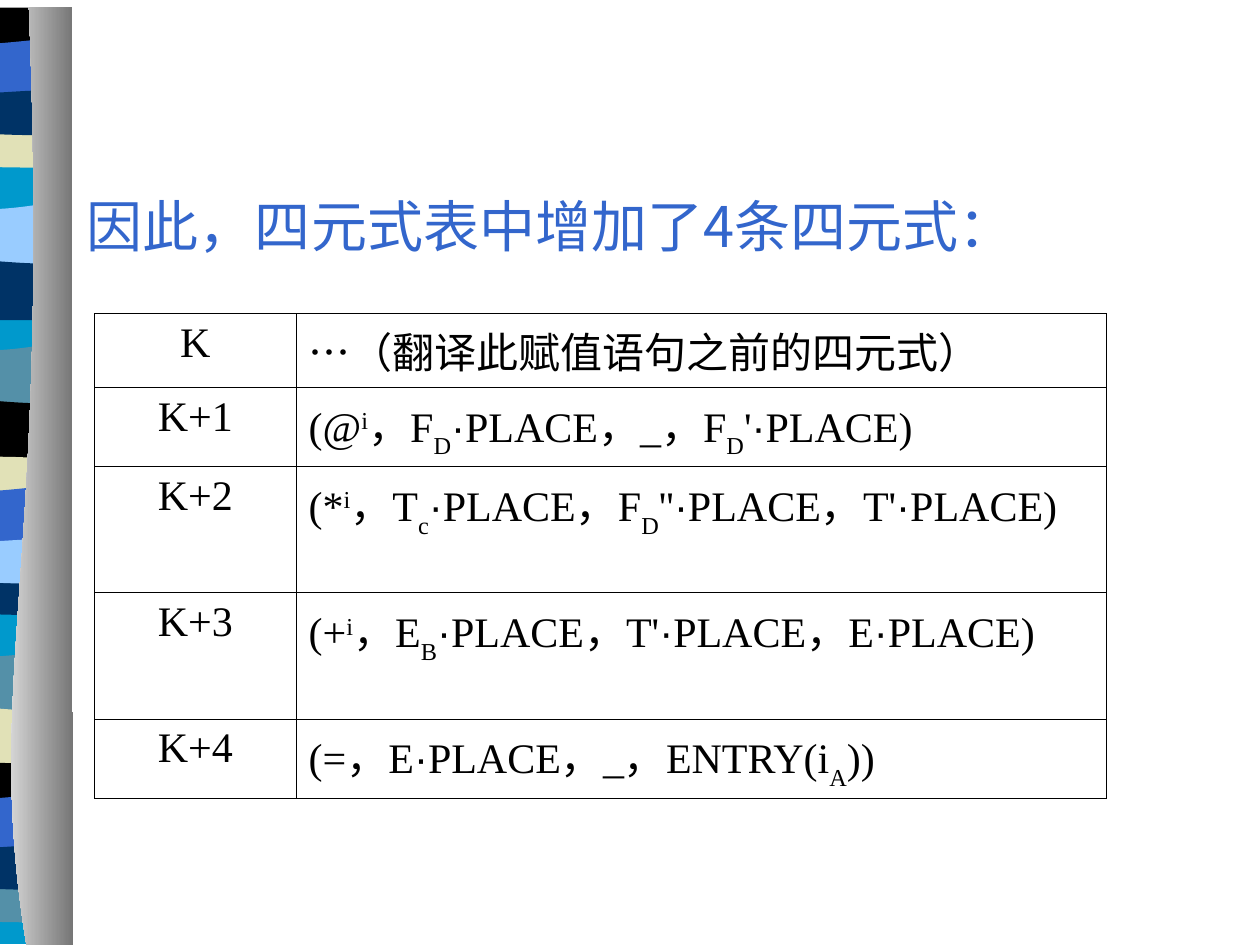
from itertools import groupby

from lxml.etree import SubElement
from pptx import Presentation
from pptx.dml.color import RGBColor
from pptx.enum.text import MSO_ANCHOR as Anchor, PP_ALIGN as Align
from pptx.oxml.ns import qn
from pptx.util import Emu, Inches, Pt

BLACK = RGBColor(0x00, 0x00, 0x00)
WHITE = RGBColor(0xFF, 0xFF, 0xFF)
BLUE = RGBColor(0x33, 0x66, 0xCC)
NAVY = RGBColor(0x00, 0x33, 0x66)
CYAN = RGBColor(0x00, 0x99, 0xCC)
SKY = RGBColor(0x99, 0xCC, 0xFF)
STEEL = RGBColor(0x54, 0x90, 0xA8)
SAND = RGBColor(0xE1, 0xE1, 0xB7)
GREY = RGBColor(0x76, 0x76, 0x76)

SERIF, SANS, CJK = "Times New Roman", "Arial", "Noto Sans CJK SC"
SUP, SUB = 30, -30
COLS, ROWS = 10, 7.5

BACKING = [(0, 0), (1.1, 0), (1.1, 7.41), (0, 7.41)]
CREST = [(0, 0.54), (0, 0.08), (0.76, 0.16, 0.91, 0, 1.1, 0.08), (1.1, 0.54)]
SWELL = [(0, 0.54), (0, 0.08), (0.18, 0, 0.76, 0.13, 1.1, 0.08), (1.1, 0.54)]
LENS = [(0, 0.28), (0, 0.04), (0.18, 0, 0.91, 0, 1.1, 0.04), (1.1, 0.28),
        (1.03, 0.33, 0.86, 0.32, 0.68, 0.32), (0.49, 0.32, 0.14, 0.29, 0, 0.28)]
ARCH = [(0, 0.38), (0, 0.06), (0.18, 0, 0.91, 0, 1.1, 0.06), (1.1, 0.38),
        (0.42, 0.33, 0.23, 0.38, 0, 0.38)]
CAP = [(0, 0.38), (0, 0), (1.1, 0), (1.1, 0.38), (0.42, 0.33, 0.23, 0.38, 0, 0.38)]
DIP = [(0, 0.47), (0, 0), (0.17, 0.05, 0.24, 0.05, 0.42, 0.05),
       (0.61, 0.05, 0.93, 0, 1.1, 0), (1.1, 0.47)]
WAVE = [(0, 0.36), (0, 0.05), (0.07, 0, 0.24, 0.05, 0.42, 0.05),
        (0.61, 0.05, 0.99, 0, 1.1, 0.05), (1.1, 0.36),
        (0.94, 0.41, 0.35, 0.36, 0.17, 0.36), (-0.01, 0.36, 0.04, 0.36, 0, 0.36)]
CURTAIN = [(0.21, 7.5), (-0.14, 5.35, 0.41, 4.56, 0.23, 0.06), (0.57, 0.06), (0.58, 7.5)]

BANDS = [
    (BACKING, 0.08, CYAN),
    (CREST, 5.11, STEEL), (SWELL, 5.55, SAND), (LENS, 7, STEEL),
    (ARCH, 6.04, BLACK), (DIP, 6.29, BLUE), (WAVE, 6.68, NAVY),
    (CREST, 2.68, STEEL), (SWELL, 3.11, BLACK), (LENS, 4.56, NAVY),
    (ARCH, 3.61, SAND), (DIP, 3.85, BLUE), (WAVE, 4.25, SKY),
    (CREST, 1.56, SKY), (SWELL, 2, NAVY), (LENS, 1.01, SAND),
    (CAP, 0.06, BLACK), (DIP, 0.3, BLUE), (WAVE, 0.69, NAVY),
]

QUADRUPLES = [
    ("K", [("…（翻译此赋值语句之前的四元式）", 0)]),
    ("K+1", [("(@", 0), ("i", SUP), ("，F", 0), ("D", SUB),
             ("·PLACE，_，F", 0), ("D", SUB), ("'·PLACE)", 0)]),
    ("K+2", [("(*", 0), ("i", SUP), ("，T", 0), ("c", SUB),
             ("·PLACE，F", 0), ("D", SUB), ("''·PLACE，T'·PLACE)", 0)]),
    ("K+3", [("(+", 0), ("i", SUP), ("，E", 0), ("B", SUB),
             ("·PLACE，T'·PLACE，E·PLACE)", 0)]),
    ("K+4", [("(=，E·PLACE，_，ENTRY(i", 0), ("A", SUB), ("))", 0)]),
]


class Deck:
    def __init__(self):
        self.prs = Presentation()
        self.prs.slide_width, self.prs.slide_height = Inches(COLS), Inches(ROWS)
        self.slide = self.prs.slides.add_slide(self.prs.slide_layouts[5])

    def x(self, cols):
        return Emu(round(self.prs.slide_width * cols / COLS))

    def y(self, rows):
        return Emu(round(self.prs.slide_height * rows / ROWS))

    def place(self, left, top, width, height):
        return self.x(left), self.y(top), self.x(width), self.y(height)

    def run(self, p, text, size, font, color, baseline=0):
        r = p.add_run()
        r.text = text
        r.font.size, r.font.name = Pt(size), font
        r.font.color.rgb = color
        rpr = r.font._element
        SubElement(rpr, qn("a:ea")).set("typeface", CJK)
        if baseline:
            rpr.set("baseline", str(baseline * 1000))

    def title(self, text, box):
        sp = self.slide.shapes.title
        sp.left, sp.top, sp.width, sp.height = self.place(*box)
        tf = sp.text_frame
        tf.word_wrap, tf.vertical_anchor = True, Anchor.MIDDLE
        p = tf.paragraphs[0]
        p.alignment = Align.LEFT
        self.run(p, text, 32, CJK, BLUE)

    def outline(self, segments, left, top):
        points = [(self.x(left + px), self.y(top + py))
                  for seg in segments for px, py in zip(seg[::2], seg[1::2])]
        builder = self.slide.shapes.build_freeform(*points[0])
        builder.add_line_segments(points[1:], close=True)
        sp = builder.convert_to_shape()
        lines = iter(list(sp._element.iter(qn("a:lnTo"))))
        for seg in segments[1:]:
            nodes = [next(lines) for _ in seg[::2]]
            if len(nodes) == 3:
                contour = nodes[0].getparent()
                curve = SubElement(contour, qn("a:cubicBezTo"))
                nodes[0].addprevious(curve)
                for node in nodes:
                    curve.append(node[0])
                    contour.remove(node)
        sp.shadow.inherit = False
        sp.line.fill.background()
        return sp

    def band(self, segments, top, color):
        fill = self.outline(segments, -0.57, top).fill
        fill.solid()
        fill.fore_color.rgb = color

    def curtain(self):
        fill = self.outline(CURTAIN, 0, 0).fill
        fill.gradient()
        fill.gradient_angle = 0
        for stop, (position, color) in zip(fill.gradient_stops, ((0, WHITE), (1, GREY))):
            stop.position, stop.color.rgb = position, color

    def cell(self, cell, pieces, align, font=SERIF):
        tc_pr = cell._tc.get_or_add_tcPr()
        for side in ("a:lnL", "a:lnR", "a:lnT", "a:lnB"):
            line = SubElement(tc_pr, qn(side), w=str(Pt(0.45)))
            SubElement(SubElement(line, qn("a:solidFill")), qn("a:srgbClr"), val=str(BLACK))
        cell.fill.background()
        p = cell.text_frame.paragraphs[0]
        p.alignment = align
        for text, baseline in pieces:
            for is_dot, chars in groupby(text, lambda c: c == "·"):
                self.run(p, "".join(chars), 24, SANS if is_dot else font, BLACK, baseline)

    def table(self, rows, left, top, widths, heights):
        box = self.place(left, top, sum(widths), sum(heights))
        table = self.slide.shapes.add_table(len(rows), len(widths), *box).table
        table.first_row = table.horz_banding = False
        for column, width in zip(table.columns, widths):
            column.width = self.x(width)
        for i, (label, pieces) in enumerate(rows):
            table.rows[i].height = self.y(heights[i])
            self.cell(table.cell(i, 0), [(label, 0)], Align.CENTER)
            self.cell(table.cell(i, 1), pieces, Align.LEFT, SERIF if i else SANS)


def main():
    deck = Deck()
    for band in BANDS:
        deck.band(*band)
    deck.curtain()
    deck.title("因此，四元式表中增加了4条四元式：", (0.59, 1.47, 9, 0.63))
    deck.table(QUADRUPLES, 0.75, 2.49, (1.6, 6.43), (0.5, 0.57, 0.97, 0.97, 0.57))
    deck.prs.save("out.pptx")


if __name__ == "__main__":
    main()
